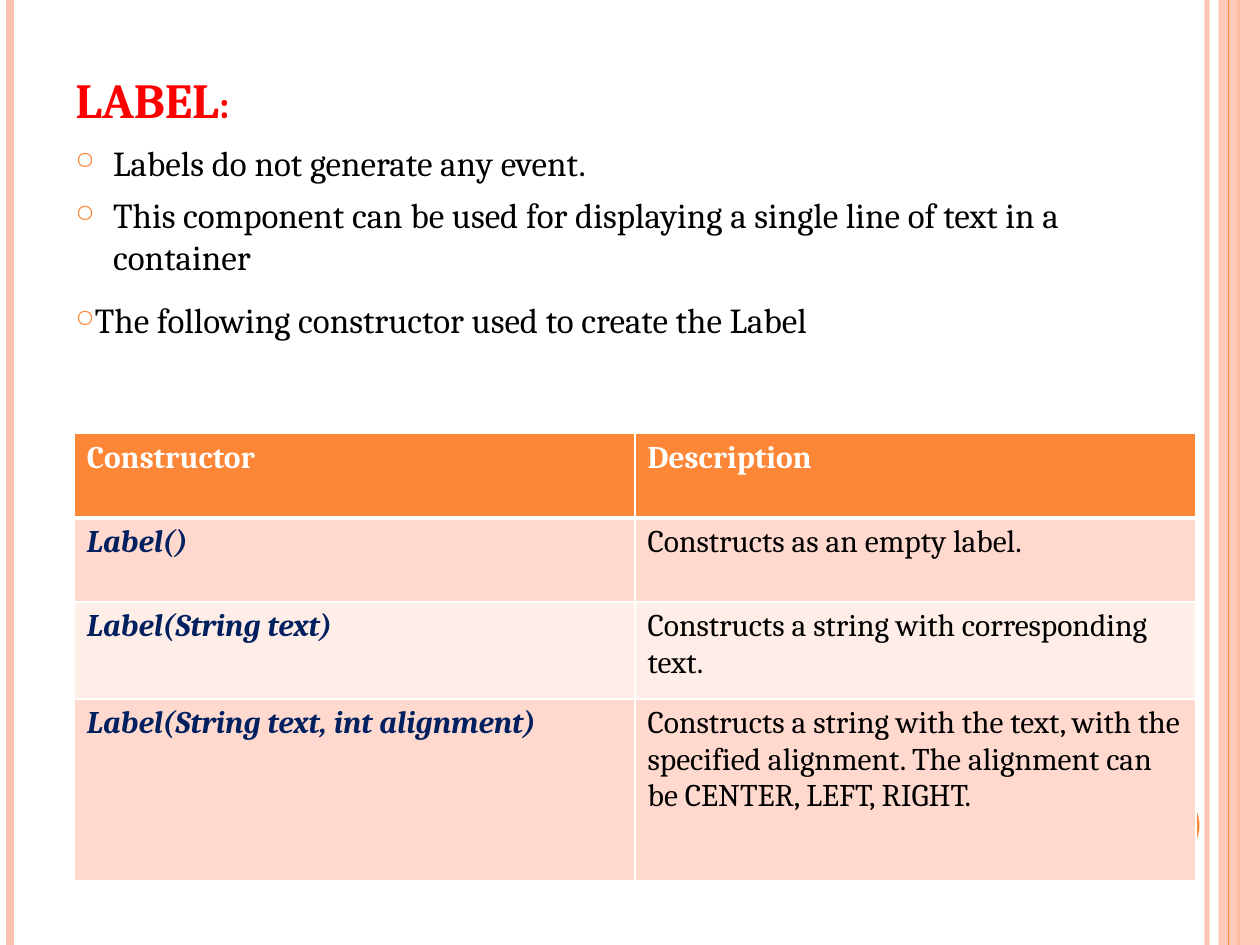
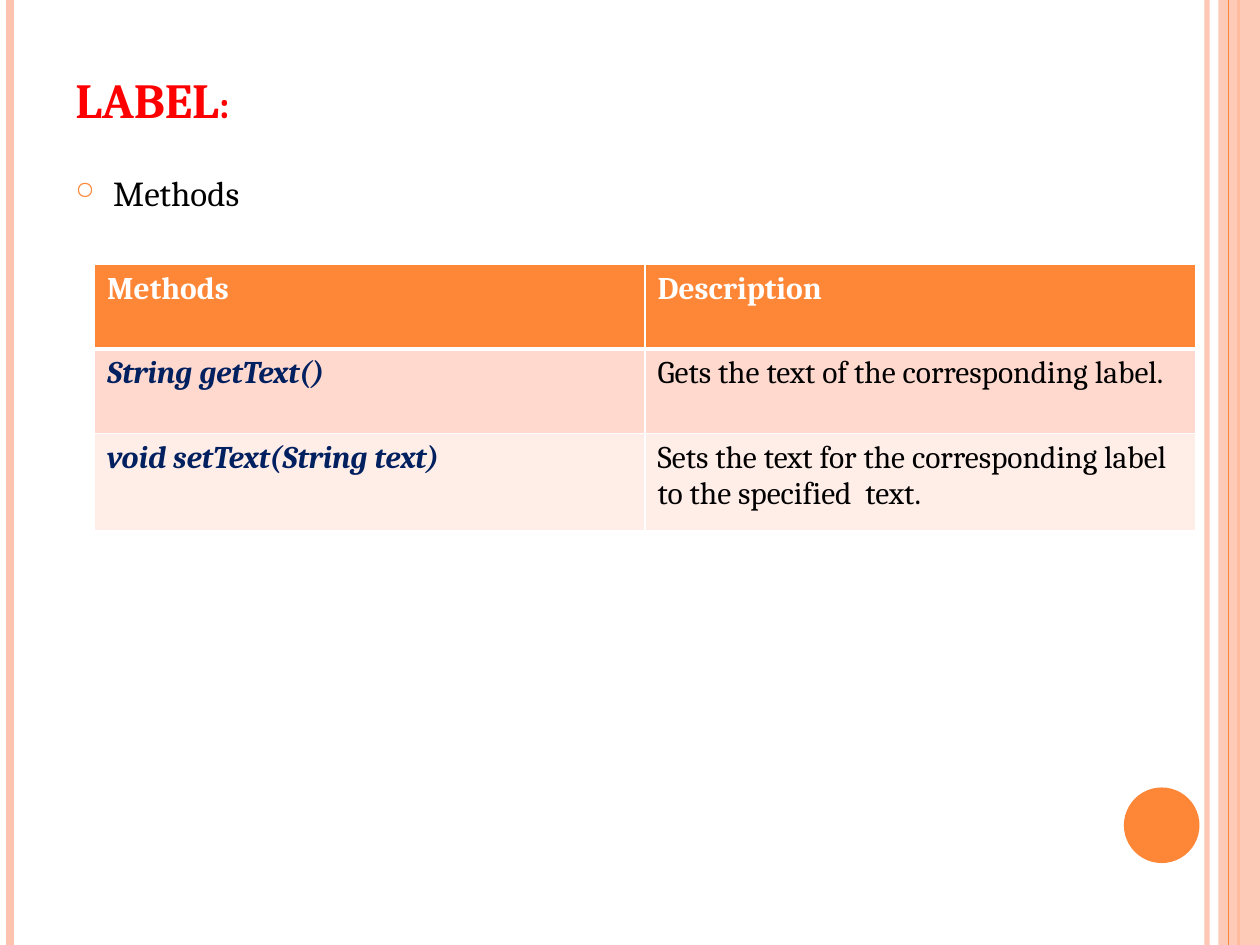
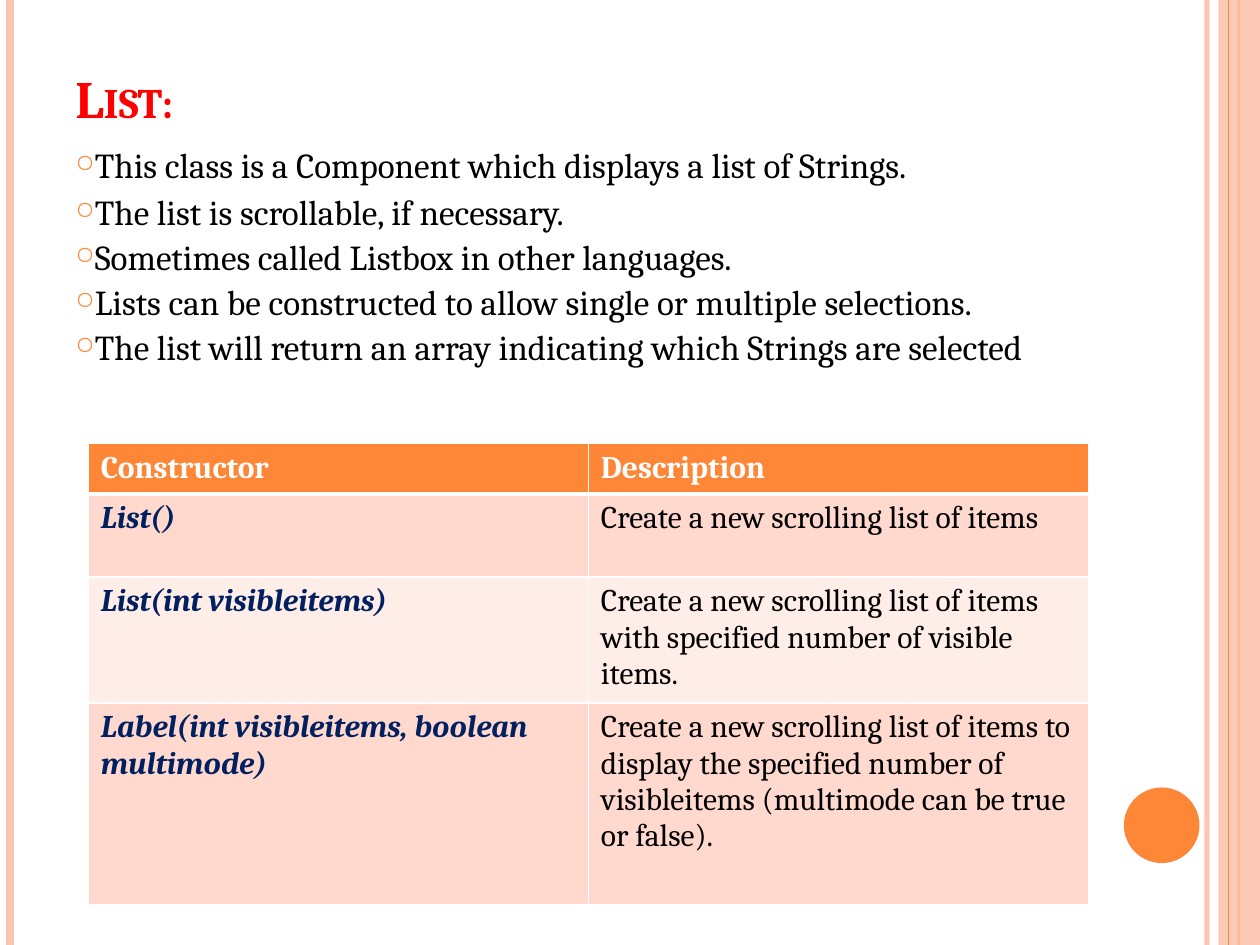
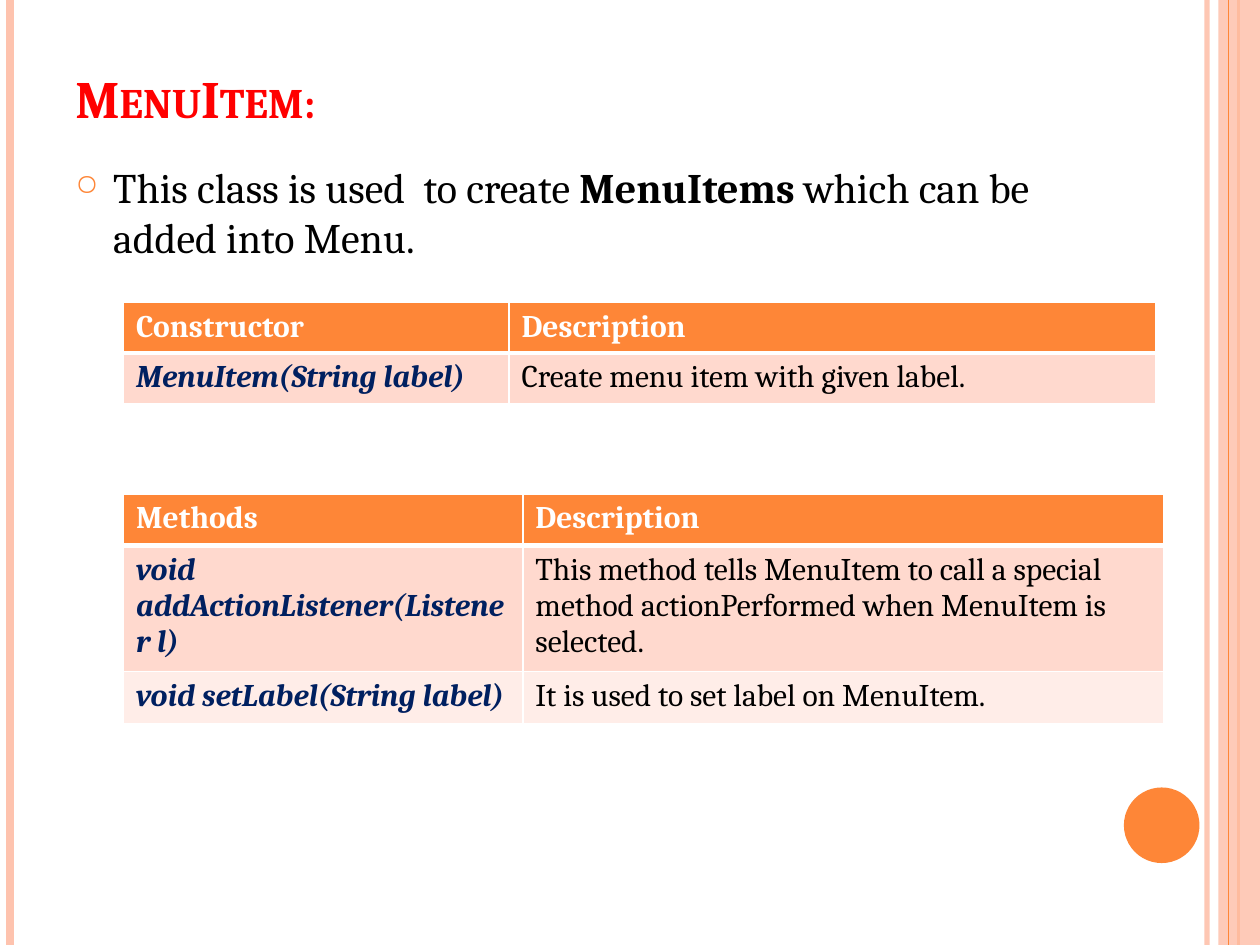
import pptx
import pptx.util
import pptx.dml.color
import pptx.enum.shapes
import pptx.enum.text
import pptx.oxml.ns
import lxml.etree

FONT = "Cambria"
ORANGE, PEACH, WHITE, BLACK = "FE8637", "FEC3AE", "FFFFFF", "000000"
RED, NAVY = "FF0000", "002060"
BANDS = ["FFD9CE", "FFEDE8"]
SLIDE_W, SLIDE_H = 10, 7.5
Inches, Pt = pptx.util.Inches, pptx.util.Pt

SLIDES = [
    dict(
        title="LABEL:", title_size=28, body_box=(0.5, 1.07, 8.17, 6.01), size=20,
        bullets=[
            dict(runs=["Labels do not generate any event."]),
            dict(runs=["This component can be used for displaying a single line of text in a container"]),
            dict(runs=["The following constructor used to create the Label"], indent=0.09, before=12),
        ],
        tables=[dict(
            at=(0.59, 3.44), cols=[4.45, 4.45], heights=[0.67, 0.67, 0.77, 1.44],
            rows=[
                ("Constructor", "Description"),
                ("Label()", "Constructs as an empty label."),
                ("Label(String text)", "Constructs a string with corresponding text."),
                ("Label(String text, int alignment)",
                 "Constructs a string with the text, with the specified alignment. "
                 "The alignment can be CENTER, LEFT, RIGHT."),
            ])],
    ),
    dict(
        title="LABEL:", title_size=28, body_box=(0.5, 1.31, 8.17, 5.77), size=20,
        bullets=[dict(runs=["Methods"])],
        tables=[dict(
            at=(0.75, 2.1), cols=[4.37, 4.37], heights=[0.67, 0.67, 0.77],
            rows=[
                ("Methods", "Description"),
                ("String getText()", "Gets the text of the corresponding label."),
                ("void setText(String text)",
                 "Sets the text for the corresponding label to the specified  text."),
            ])],
    ),
    dict(
        title="List:", title_size=30, body_box=(0.5, 1.07, 8.67, 6.01), size=20,
        bullets=[
            dict(runs=["This class is a Component which displays a list of Strings."],
                 indent=0.01, before=1, spacing=1.07),
            dict(runs=["The list is scrollable, if necessary."], indent=0.01, before=1, spacing=1.07),
            dict(runs=["Sometimes called Listbox in other languages."], indent=0.01, before=1.7),
            dict(runs=["Lists can be constructed to allow single or multiple selections."],
                 indent=0.01, before=1.6),
            dict(runs=["The list will return an array indicating which Strings are selected"],
                 indent=0.01, before=1.6),
        ],
        tables=[dict(
            at=(0.7, 3.52), cols=[3.97, 3.97], heights=[0.32, 0.66, 0.93, 1.6],
            rows=[
                ("Constructor", "Description"),
                ("List()", "Create a new scrolling list of items"),
                ("List(int visibleitems)",
                 "Create a new scrolling list of items with specified number of visible items."),
                ("Label(int visibleitems, boolean multimode)",
                 "Create a new scrolling list of items to display the specified number of "
                 "visibleitems (multimode can be true or false)."),
            ])],
    ),
    dict(
        title="MenuItem:", title_size=30, body_box=(0.5, 1.23, 8.17, 5.85), size=24,
        bullets=[dict(runs=["This class is used  to create ", ("MenuItems ", True),
                            "which can be added into Menu."])],
        tables=[
            dict(at=(0.98, 2.4), cols=[3.06, 5.13], heights=[0.39, 0.39],
                 rows=[
                     ("Constructor", "Description"),
                     ("MenuItem(String label)", "Create menu item with given label."),
                 ]),
            dict(at=(0.98, 3.92), cols=[3.17, 5.09], heights=[0.41, 0.41, 0.41],
                 rows=[
                     ("Methods", "Description"),
                     ("void addActionListener(Listener l)",
                      "This method tells MenuItem to call a special method actionPerformed "
                      "when MenuItem is selected."),
                     ("void setLabel(String label)", "It is used to set label on MenuItem."),
                 ]),
        ],
    ),
]


def rgb(color):
    return pptx.dml.color.RGBColor.from_string(color)


def add_xml(parent, tag, **attrs):
    el = lxml.etree.SubElement(parent, pptx.oxml.ns.qn(tag))
    for name, value in attrs.items():
        el.set(name, str(value))
    return el


def add_text(p, text, size=18, color=BLACK, bold=False, italic=False, small_caps=False):
    r = p.add_run()
    r.text = text
    r.font.name, r.font.size = FONT, Pt(size)
    r.font.bold, r.font.italic = bold, italic
    r.font.color.rgb = rgb(color)
    if small_caps:
        r.font._element.set("cap", "small")


def set_alpha(sp, percent):
    for clr in sp._element.spPr.iter(pptx.oxml.ns.qn("a:srgbClr")):
        add_xml(clr, "a:alpha", val=percent * 1000)


def add_rule(slide, x, color, width, alpha=None):
    line = slide.shapes.add_connector(
        pptx.enum.shapes.MSO_CONNECTOR.STRAIGHT, Inches(x), 0, Inches(x), Inches(SLIDE_H))
    line.line.color.rgb = rgb(color)
    line.line.width = Pt(width)
    add_xml(line._element.spPr, "a:effectLst")
    if alpha:
        set_alpha(line, alpha)


def add_block(slide, kind, box, color):
    sp = slide.shapes.add_shape(kind, *map(Inches, box))
    sp.shadow.inherit = False
    sp.fill.solid()
    sp.fill.fore_color.rgb = rgb(color)
    sp.line.fill.background()
    return sp


def add_frame(slide):
    shape = pptx.enum.shapes.MSO_SHAPE
    add_rule(slide, 9.58, PEACH, 3, alpha=93)
    add_rule(slide, 0.08, PEACH, 4.5)
    add_rule(slide, 9.83, ORANGE, 1.5)
    set_alpha(add_block(slide, shape.RECTANGLE, (9.67, 0, 0.33, SLIDE_H), PEACH), 87)
    add_rule(slide, 9.75, ORANGE, 0.75)
    add_block(slide, shape.OVAL, (8.92, 6.25, 0.6, 0.6), ORANGE)


def add_box(slide, box):
    tf = slide.shapes.add_textbox(*map(Inches, box)).text_frame
    tf.word_wrap = True
    return tf


def add_title(slide, text, size):
    tf = add_box(slide, (0.5, 0.3, 8.17, 1.25))
    tf.vertical_anchor = pptx.enum.text.MSO_ANCHOR.BOTTOM
    tf.margin_bottom = Inches(0.53)
    add_text(tf.paragraphs[0], text, size=size, color=RED, bold=True, small_caps=True)


def add_bullet(p, runs, size, indent=0.3, before=6, spacing=None):
    p.space_before = Pt(before)
    if spacing:
        p.line_spacing = spacing
    pPr = p._p.get_or_add_pPr()
    pPr.set("marL", str(Inches(indent)))
    pPr.set("indent", str(Inches(-0.3)))
    add_xml(add_xml(pPr, "a:buClr"), "a:srgbClr", val=ORANGE)
    add_xml(pPr, "a:buSzPct", val=70000)
    add_xml(pPr, "a:buChar", char="○")
    for run in runs:
        text, bold = (run, False) if isinstance(run, str) else run
        add_text(p, text, size=size, bold=bold)


def add_body(slide, box, bullets, size):
    tf = add_box(slide, box)
    for i, bullet in enumerate(bullets):
        p = tf.add_paragraph() if i else tf.paragraphs[0]
        add_bullet(p, size=size, **bullet)


def style_cell(cell, fill, top, bottom):
    tcPr = cell._tc.get_or_add_tcPr()
    for side, width in zip("LRTB", (1, 1, top, bottom)):
        ln = add_xml(tcPr, "a:ln" + side, w=Pt(width))
        add_xml(add_xml(ln, "a:solidFill"), "a:srgbClr", val=WHITE)
    cell.fill.solid()
    cell.fill.fore_color.rgb = rgb(fill)


def add_table(slide, at, cols, heights, rows):
    box = (*at, sum(cols), sum(heights))
    table = slide.shapes.add_table(len(rows), len(cols), *map(Inches, box)).table
    table.horz_banding = False
    for col, width in zip(table.columns, cols):
        col.width = Inches(width)
    for i, texts in enumerate(rows):
        table.rows[i].height = Inches(heights[i])
        for j, text in enumerate(texts):
            cell = table.cell(i, j)
            fill = BANDS[(i - 1) % 2] if i else ORANGE
            style_cell(cell, fill, top=3 if i == 1 else 1, bottom=1 if i else 3)
            code = i > 0 and j == 0
            color = WHITE if i == 0 else NAVY if code else BLACK
            add_text(cell.text_frame.paragraphs[0], text, color=color,
                     bold=i == 0 or code, italic=code)


def main():
    prs = pptx.Presentation()
    prs.slide_width, prs.slide_height = Inches(SLIDE_W), Inches(SLIDE_H)
    for content in SLIDES:
        slide = prs.slides.add_slide(prs.slide_layouts[6])
        add_frame(slide)
        add_title(slide, content["title"], content["title_size"])
        add_body(slide, content["body_box"], content["bullets"], content["size"])
        for table in content["tables"]:
            add_table(slide, **table)
    prs.save("out.pptx")


if __name__ == "__main__":
    main()
